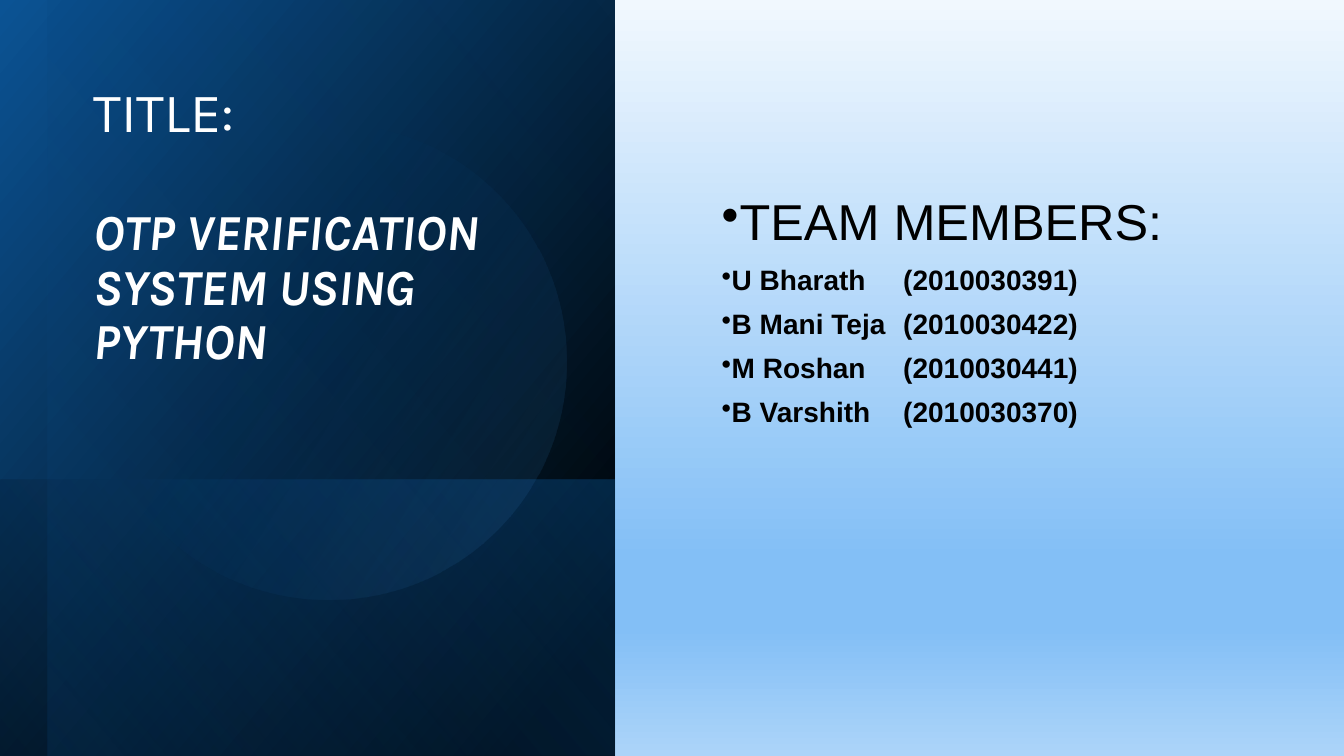
"""Build the title slide of a student project with its team list."""
from pptx import Presentation
from pptx.dml.color import RGBColor
from pptx.enum.shapes import MSO_SHAPE
from pptx.enum.text import MSO_ANCHOR
from pptx.oxml import parse_xml
from pptx.oxml.ns import nsdecls
from pptx.oxml.xmlchemy import OxmlElement
from pptx.util import Inches, Pt

WHITE, BLACK, BLUE = "FFFFFF", "000000", "0F6FC6"
BACKGROUND = [(0, "F1F8FE", 100), (74, "83BFF6", 100), (83, "83BFF6", 100), (100, "ACD4F9", 100)]
PANELS = [
    (MSO_SHAPE.RECTANGLE, (-0.7, 0.7, 7.5, 6.1), 90, True, 50,
     [(8, BLACK, 100), (100, "0B5394", 100)]),
    (MSO_SHAPE.RECTANGLE, (1.67, 3.08, 2.74, 6.1), 90, True, 130,
     [(2, BLUE, 29), (100, BLACK, 30)]),
    (MSO_SHAPE.RECTANGLE, (-0.46, 0.93, 7.5, 5.63), 90, True, 130,
     [(0, BLACK, 0), (99, BLUE, 11)]),
    (MSO_SHAPE.OVAL, (0.9, 1.23, 4.72, 4.72), 101.6, False, 290,
     [(39, BLUE, 0), (100, "59AAF2", 15)]),
]
MEMBERS = [
    ("U Bharath", "2010030391"),
    ("B Mani Teja", "2010030422"),
    ("M Roshan", "2010030441"),
    ("B Varshith", "2010030370"),
]
LABEL = {"name": "Karla", "size": Pt(39.6)}
TOPIC = {"name": "Karla", "size": Pt(36), "bold": True, "italic": True}
HEADING = {"name": "Arial", "size": Pt(36)}
MEMBER = {"name": "Arial", "size": Pt(20), "bold": True}
NUMBER_TAB = Inches(1.8)


def gradient(stops, angle):
    """Return a linear gradient fill with opacity in percent."""
    marks = "".join(
        f'<a:gs pos="{place * 1000}"><a:srgbClr val="{color}">'
        f'<a:alpha val="{opacity * 1000}"/></a:srgbClr></a:gs>'
        for place, color, opacity in stops)
    return parse_xml(
        f'<a:gradFill {nsdecls("a")} rotWithShape="1"><a:gsLst>{marks}</a:gsLst>'
        f'<a:lin ang="{angle * 60000}" scaled="0"/></a:gradFill>')


def set_background(page):
    """Fill the page with the light gradient."""
    page.background.fill.solid()
    properties = page.background.fill._xPr
    properties.replace(properties[0], gradient(BACKGROUND, 90))


def add_panel(page, kind, place, rotation, flipped, angle, stops):
    """Add one gradient shape of the left half."""
    panel = page.shapes.add_shape(kind, *map(Inches, place))
    panel.shadow.inherit = False
    panel.line.fill.background()
    panel.rotation = rotation
    properties = panel._element.spPr
    if flipped:
        properties.xfrm.set("flipH", "1")
    properties.prstGeom.addnext(gradient(stops, angle))


def add_text(page, place, color, paragraphs, bulleted=False):
    """Add a text box of (text, font format, space before) paragraphs."""
    box = page.shapes.add_textbox(*map(Inches, place))
    frame = box.text_frame
    frame.word_wrap = True
    frame.vertical_anchor = MSO_ANCHOR.TOP
    for index, (text, style, gap) in enumerate(paragraphs):
        para = frame.add_paragraph() if index else frame.paragraphs[0]
        para.line_spacing = 0.9
        para.space_before = Pt(gap)
        span = para.add_run()
        span.text = text
        for name, value in style.items():
            setattr(span.font, name, value)
        span.font.color.rgb = RGBColor.from_string(color)
        if bulleted:
            add_bullet(para)


def add_bullet(para):
    """Give a paragraph a tight bullet and a tab stop for the number."""
    properties = para._p.get_or_add_pPr()
    properties.set("marL", "0")
    properties.set("indent", "0")
    bullet = OxmlElement("a:buChar")
    bullet.set("char", "•")
    tabs = OxmlElement("a:tabLst")
    tab = OxmlElement("a:tab")
    tab.set("pos", str(NUMBER_TAB))
    tab.set("algn", "l")
    tabs.append(tab)
    properties.extend([bullet, tabs])


deck = Presentation()
deck.slide_width, deck.slide_height = Inches(13.33), Inches(7.5)
page = deck.slides.add_slide(deck.slide_layouts[6])
set_background(page)
for panel in PANELS:
    add_panel(page, *panel)
add_text(page, (0.83, 0.79, 4.63, 3.0), WHITE, [
    ("TITLE:", LABEL, 0),
    ("OTP VERIFICATION SYSTEM USING PYTHON", TOPIC, 45),
])
add_text(page, (7.06, 1.91, 5.32, 2.5), BLACK, [
    ("TEAM MEMBERS:", HEADING, 0),
    *((f"{name}\t({number})", MEMBER, 10) for name, number in MEMBERS),
], bulleted=True)
deck.save("out.pptx")
